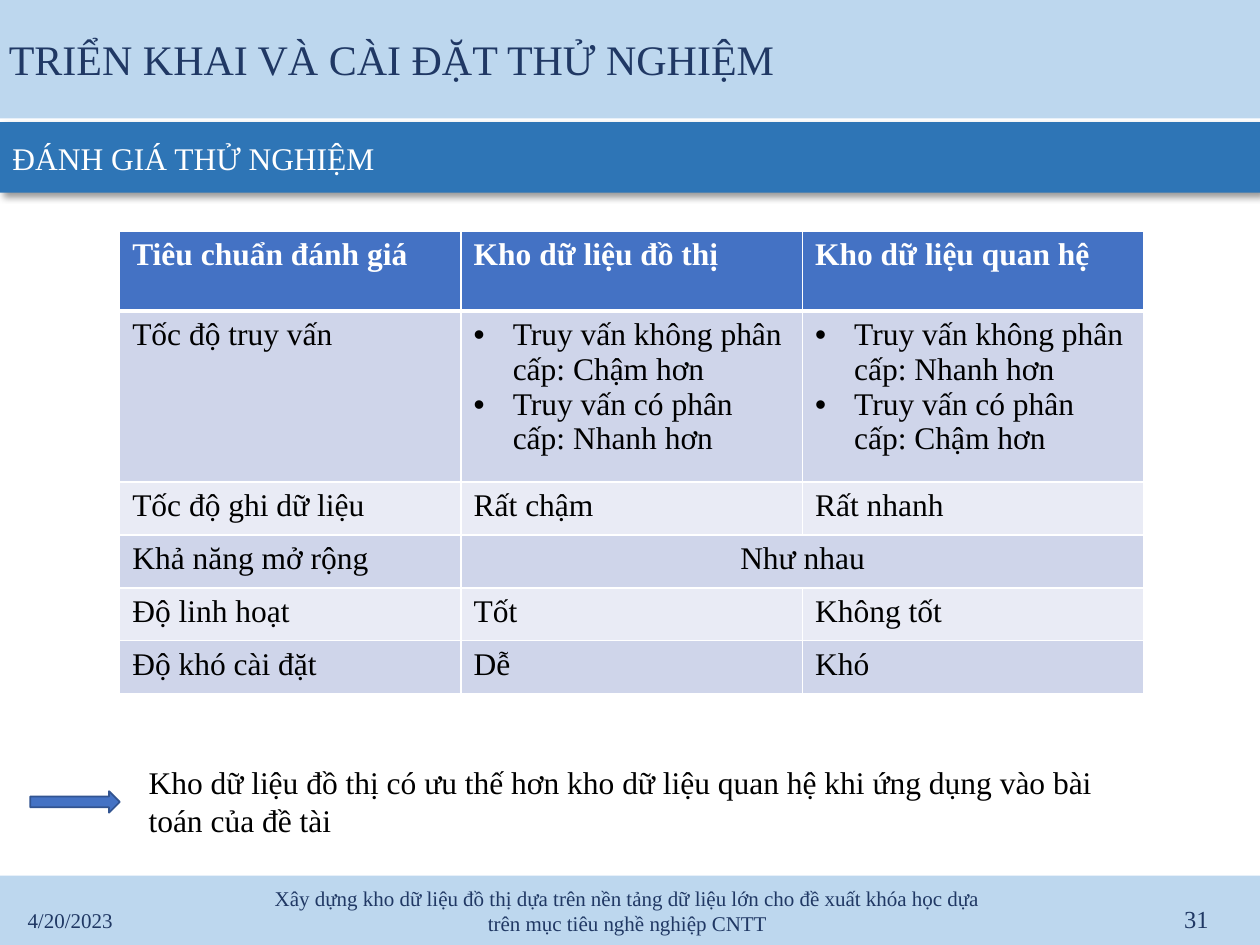
from collections import namedtuple

from lxml.etree import SubElement
from pptx import Presentation
from pptx.dml.color import RGBColor
from pptx.enum.shapes import MSO_SHAPE as Shape
from pptx.enum.text import MSO_ANCHOR as Anchor, MSO_AUTO_SIZE as AutoSize, PP_ALIGN as Align
from pptx.oxml import parse_xml
from pptx.oxml.ns import nsdecls, qn
from pptx.util import Inches, Pt

Box = namedtuple("Box", "left top width height")
PAGE = Box(0, 0, Inches(10), Inches(7.5))
FONT = "Times New Roman"
PALE, NAVY, BLUE, ACCENT = "BDD7EE", "203864", "2E75B6", "4472C4"
EDGE, WHITE, BLACK = "325491", "FFFFFF", "000000"
BANDS = ("CFD5EA", "E9EBF5")

HEADER = ("Tiêu chuẩn đánh giá", "Kho dữ liệu đồ thị", "Kho dữ liệu quan hệ")
CRITERIA = (
    ("Tốc độ truy vấn",
     ("Truy vấn không phân cấp: Chậm hơn", "Truy vấn có phân cấp: Nhanh hơn"),
     ("Truy vấn không phân cấp: Nhanh hơn", "Truy vấn có phân cấp: Chậm hơn")),
    ("Tốc độ ghi dữ liệu", "Rất chậm", "Rất nhanh"),
    ("Khả năng mở rộng", "Như nhau", None),
    ("Độ linh hoạt", "Tốt", "Không tốt"),
    ("Độ khó cài đặt", "Dễ", "Khó"),
)
ROW_SHARES = (63, 136, 42, 42, 42, 42)


def rgb(hex_code):
    return RGBColor.from_string(hex_code)


def part(box, left, top, width, height):
    """Box inside another one, in percent of its size."""
    return Box(int(box.left + box.width * left / 100), int(box.top + box.height * top / 100),
               int(box.width * width / 100), int(box.height * height / 100))


def apply(target, formats):
    for name, value in formats.items():
        setattr(target, name, value)


def write(frame, lines, size, color, align=Align.LEFT, bold=False):
    """Put one formatted paragraph per line into a text frame."""
    for index, line in enumerate(lines):
        paragraph = frame.paragraphs[0] if index == 0 else frame.add_paragraph()
        paragraph.alignment = align
        run = paragraph.add_run()
        run.text = line
        apply(run.font, {"name": FONT, "size": Pt(size), "bold": bold})
        run.font.color.rgb = rgb(color)


def paint(target, color):
    target.fill.solid()
    target.fill.fore_color.rgb = rgb(color)


def add_block(slide, box, color, preset=Shape.RECTANGLE):
    block = slide.shapes.add_shape(preset, *box)
    block.shadow.inherit = False
    paint(block, color)
    block.line.fill.background()
    return block


def add_label(slide, box, text, size, color, align=Align.LEFT, anchor=Anchor.MIDDLE):
    frame = slide.shapes.add_textbox(*box).text_frame
    apply(frame, {"word_wrap": True, "vertical_anchor": anchor})
    write(frame, [text], size, color, align)


def add_title(slide, box):
    title = slide.shapes.title
    apply(title, box._asdict())
    paint(title, PALE)
    apply(title.text_frame, {
        "auto_size": AutoSize.NONE, "word_wrap": True, "vertical_anchor": Anchor.MIDDLE,
        "margin_left": Inches(0.07), "margin_right": Inches(0.07),
        "margin_top": Inches(0.04), "margin_bottom": Inches(0.04)})
    write(title.text_frame, ["TRIỂN KHAI VÀ CÀI ĐẶT THỬ NGHIỆM"], 24, NAVY)


def add_subtitle(slide, box):
    band = add_block(slide, box, BLUE)
    effects = band._element.spPr.find(qn("a:effectLst"))
    effects.append(parse_xml(
        f'<a:outerShdw {nsdecls("a")} blurRad="{Pt(4)}" dist="{Pt(3)}" dir="2700000" '
        f'algn="tl" rotWithShape="0"><a:srgbClr val="{BLACK}"><a:alpha val="40000"/>'
        '</a:srgbClr></a:outerShdw>'))
    band.text_frame.vertical_anchor = Anchor.MIDDLE
    write(band.text_frame, ["ĐÁNH GIÁ THỬ NGHIỆM"], 18, WHITE)


def add_bullets(frame):
    indent = Inches(0.31)
    for paragraph in frame.paragraphs:
        props = paragraph._p.get_or_add_pPr()
        props.set("marL", str(indent))
        props.set("indent", str(-indent))
        SubElement(props, qn("a:buFont")).set("typeface", "Arial")
        SubElement(props, qn("a:buChar")).set("char", "•")


def add_borders(cell, widths):
    props = cell._tc.get_or_add_tcPr()
    for index, (side, width) in enumerate(widths.items()):
        props.insert(index, parse_xml(
            f'<a:ln{side} {nsdecls("a")} w="{Pt(width)}"><a:solidFill>'
            f'<a:srgbClr val="{WHITE}"/></a:solidFill></a:ln{side}>'))


def add_comparison(slide, box):
    rows = (HEADER, *CRITERIA)
    table = slide.shapes.add_table(len(rows), len(HEADER), *box).table
    for column in table.columns:
        column.width = box.width // len(HEADER)
    for row, share in zip(table.rows, ROW_SHARES):
        row.height = box.height * share // sum(ROW_SHARES)
    for r, values in enumerate(rows):
        is_header = r == 0
        for c, value in enumerate(values):
            cell = table.cell(r, c)
            paint(cell, ACCENT if is_header else BANDS[(r - 1) % 2])
            add_borders(cell, {"L": 1, "R": 1, "T": 3 if r == 1 else 1,
                               "B": 3 if is_header else 1})
            if value is None:
                table.cell(r, c - 1).merge(cell)
                continue
            has_bullets = isinstance(value, tuple)
            spans = c + 1 < len(values) and values[c + 1] is None
            write(cell.text_frame, value if has_bullets else [value], 18,
                  WHITE if is_header else BLACK,
                  Align.CENTER if spans else Align.LEFT, is_header)
            if has_bullets:
                add_bullets(cell.text_frame)


def add_conclusion(slide, box):
    arrow = add_block(slide, part(box, 0, 38, 8.2, 24), ACCENT, Shape.RIGHT_ARROW)
    arrow.line.color.rgb = rgb(EDGE)
    arrow.line.width = Pt(1)
    add_label(slide, part(box, 9.7, 0, 90.3, 100),
              "Kho dữ liệu đồ thị có ưu thế hơn kho dữ liệu quan hệ khi ứng dụng vào bài "
              "toán của đề tài", 18, BLACK, anchor=Anchor.TOP)


def add_footer(slide, box):
    add_block(slide, box, PALE)
    add_label(slide, part(box, 1.2, 27, 22.5, 71), "4/20/2023", 12, NAVY)
    add_label(slide, part(box, 20.8, 14, 58, 71),
              "Xây dựng kho dữ liệu đồ thị dựa trên nền tảng dữ liệu lớn cho đề xuất khóa học "
              "dựa trên mục tiêu nghề nghiệp CNTT", 12, NAVY, Align.CENTER)
    add_label(slide, part(box, 74.4, 25, 22.5, 71), "31", 14, NAVY, Align.RIGHT)


def main():
    deck = Presentation()
    apply(deck, {"slide_width": PAGE.width, "slide_height": PAGE.height})
    slide = deck.slides.add_slide(deck.slide_layouts.get_by_name("Title Only"))
    add_title(slide, part(PAGE, 0, 0, 100, 12.53))
    add_subtitle(slide, part(PAGE, 0, 12.93, 100, 7.47))
    add_comparison(slide, part(PAGE, 9.5, 24.5, 81.3, 48.9))
    add_conclusion(slide, part(PAGE, 2.4, 80.13, 86.7, 9.47))
    add_footer(slide, part(PAGE, 0, 92.67, 100, 7.47))
    deck.save("out.pptx")


if __name__ == "__main__":
    main()
